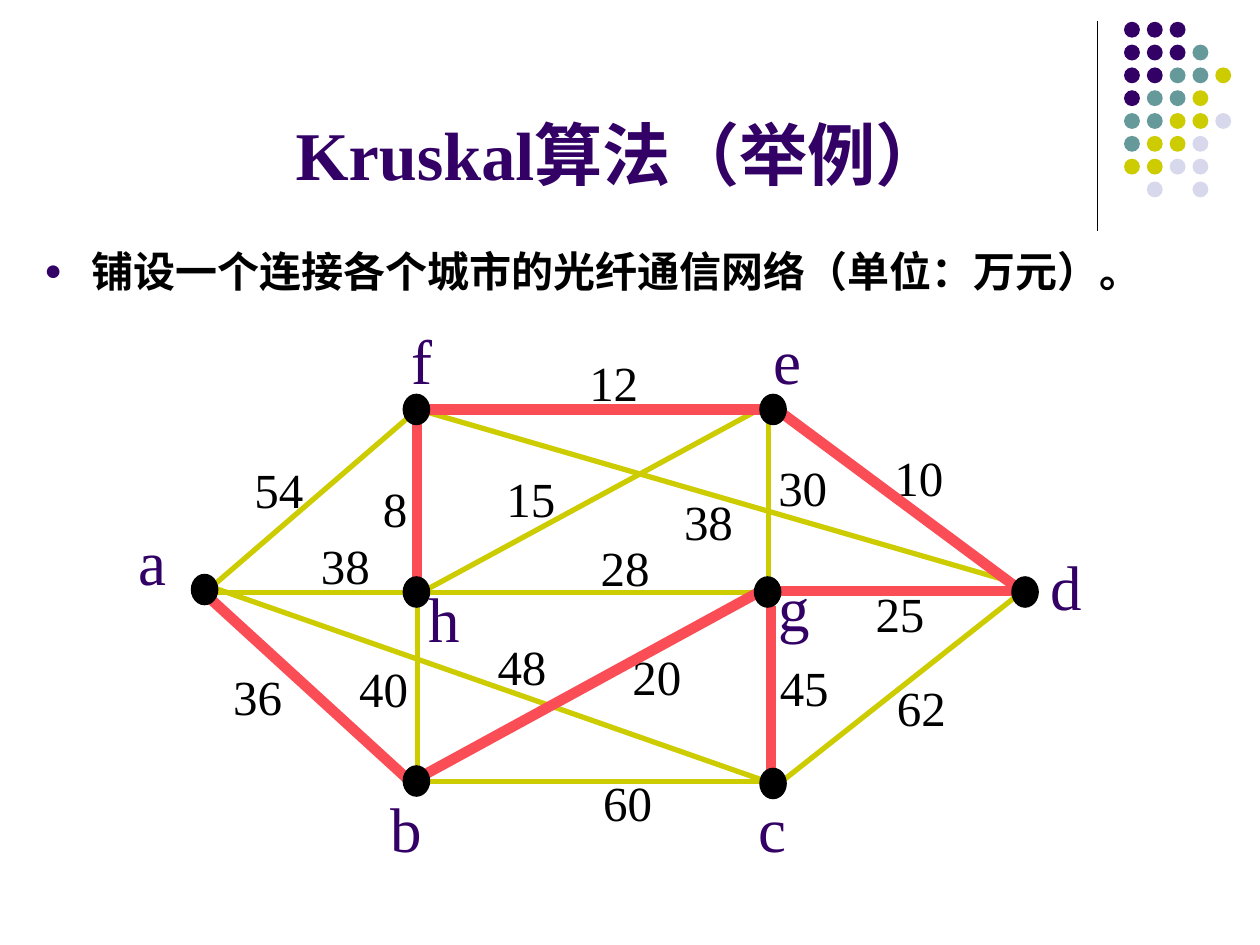
from lxml.etree import SubElement
from pptx import Presentation
from pptx.dml.color import RGBColor
from pptx.enum.shapes import MSO_CONNECTOR, MSO_SHAPE
from pptx.enum.text import MSO_ANCHOR, MSO_AUTO_SIZE, PP_ALIGN
from pptx.oxml.ns import qn
from pptx.util import Cm, Pt

COLORS = {"purple": "330066", "teal": "669999", "olive": "CCCC00",
          "lavender": "D8D8EC", "red": "FB4D55", "black": "000000"}
rgb = {name: RGBColor.from_string(value) for name, value in COLORS.items()}

prs = Presentation()
prs.slide_width, prs.slide_height = Cm(25.4), Cm(19.05)
slide = prs.slides.add_slide(prs.slide_layouts[1])
shapes = slide.shapes


def write(holder, text, size, color="black", bold=False, align=PP_ALIGN.LEFT,
          anchor=MSO_ANCHOR.TOP, wrap=True, fit=MSO_AUTO_SIZE.NONE):
    frame = holder.text_frame
    frame.word_wrap, frame.auto_size, frame.vertical_anchor = wrap, fit, anchor
    paragraph = frame.paragraphs[0]
    paragraph.alignment = align
    run = paragraph.add_run()
    run.text = text
    run.font.name, run.font.size, run.font.bold = "Times New Roman", Pt(size), bold
    run.font.color.rgb = rgb[color]
    return paragraph


def draw_line(x1, y1, x2, y2, color, width):
    line = shapes.add_connector(MSO_CONNECTOR.STRAIGHT, Cm(x1), Cm(y1), Cm(x2), Cm(y2))
    line.line.color.rgb, line.line.width = rgb[color], Pt(width)
    SubElement(line._element.spPr, qn("a:effectLst"))


# Corner ornament: a rule and a grid of dots, one letter per colour
draw_line(22.12, 0.43, 22.12, 4.65, "black", 0.75)
dot_colors = {"p": "purple", "t": "teal", "o": "olive", "l": "lavender"}
dot_rows = ["ppp", "pppt", "pptto", "ptto", "ttool", "tool", "ooll", " l l"]
for row, letters in enumerate(dot_rows):
    for column, letter in enumerate(letters):
        if letter == " ":
            continue
        dot = shapes.add_shape(MSO_SHAPE.OVAL, Cm(22.66 + 0.46 * column),
                               Cm(0.44 + 0.46 * row), Cm(0.32), Cm(0.32))
        dot.shadow.inherit = False
        dot.fill.solid()
        dot.fill.fore_color.rgb = rgb[dot_colors[letter]]
        dot.line.fill.background()

# Title
title = shapes.title
title.left, title.top, title.width, title.height = Cm(1.7), Cm(1.93), Cm(21.59), Cm(2.11)
write(title, "Kruskal算法（举例）", 39, "purple", bold=True,
      align=PP_ALIGN.CENTER, anchor=MSO_ANCHOR.BOTTOM)

# Task statement with its bullet
task = slide.placeholders[1]
task.left, task.top, task.width, task.height = Cm(0.64), Cm(4.72), Cm(23.88), Cm(1.6)
statement = write(task, "铺设一个连接各个城市的光纤通信网络（单位：万元）。", 24,
                  bold=True, align=PP_ALIGN.JUSTIFY)
statement.line_spacing, statement.space_before = 1.1, Pt(4.8)
bullet = statement._p.get_or_add_pPr()
bullet.set("marL", str(Cm(0.95)))
bullet.set("indent", str(-Cm(0.95)))
SubElement(SubElement(bullet, qn("a:buClr")), qn("a:srgbClr"), val=COLORS["purple"])
SubElement(bullet, qn("a:buSzPct"), val="70000")
SubElement(bullet, qn("a:buChar"), char="●")

# All candidate links
links = [
    (8.26, 15.75, 15.62, 11.76), (8.26, 12.07, 15.62, 8.08),
    (15.44, 15.75, 4.14, 11.79), (20.5, 11.76, 8.51, 8.28),
    (8.41, 15.75, 8.41, 8.38), (15.49, 15.75, 15.49, 8.38),
    (4.14, 11.94, 8.41, 15.93), (8.41, 15.75, 15.6, 15.75),
    (15.6, 15.88, 20.65, 11.89), (4.14, 11.94, 20.65, 11.94),
    (4.14, 11.94, 8.41, 8.26), (8.41, 8.26, 15.6, 8.26),
    (15.6, 8.26, 20.65, 11.94),
]
for link in links:
    draw_line(*link, "olive", 3)

# Costs of the links
costs = [
    ("54", 4.88, 9.14), ("60", 11.91, 15.44), ("36", 4.45, 13.31),
    ("38", 6.22, 10.67), ("8", 7.47, 9.53), ("40", 6.99, 13.16),
    ("48", 9.78, 12.7), ("20", 12.5, 12.9), ("45", 15.47, 13.13),
    ("28", 11.86, 10.72), ("15", 9.96, 9.32), ("38", 13.54, 9.78),
    ("30", 15.44, 9.09), ("62", 17.83, 13.54), ("25", 17.4, 11.63),
    ("12", 11.63, 6.99), ("10", 17.78, 8.89),
]
for cost, left, top in costs:
    label = shapes.add_textbox(Cm(left), Cm(top), Cm(0.5 + 0.5 * len(cost)), Cm(1.45))
    write(label, cost, 28, wrap=False, fit=MSO_AUTO_SIZE.SHAPE_TO_FIT_TEXT)

# City names: left, top, width
cities = {
    "f": (8.05, 6.35, 0.94), "e": (15.34, 6.35, 1.07), "b": (7.62, 15.8, 1.14),
    "a": (2.54, 10.41, 1.07), "c": (15.04, 15.8, 1.07), "d": (20.93, 10.92, 1.14),
    "h": (8.38, 11.56, 1.14), "g": (15.44, 11.33, 1.14),
}
for city, (left, top, width) in cities.items():
    label = shapes.add_textbox(Cm(left), Cm(top), Cm(width), Cm(1.78))
    write(label, city, 36, "purple", wrap=False, fit=MSO_AUTO_SIZE.SHAPE_TO_FIT_TEXT)

# Minimum spanning tree
tree = [
    (8.41, 8.46, 8.41, 11.86), (15.67, 8.26, 20.52, 11.86),
    (8.46, 8.26, 15.44, 8.26), (15.44, 11.86, 8.46, 15.67),
    (15.6, 11.91, 20.68, 11.91), (4.01, 11.86, 8.43, 15.9),
    (15.54, 12.22, 15.54, 15.6),
]
for branch in tree:
    draw_line(*branch, "red", 6)

# City nodes
nodes = [(15.32, 15.49), (8.13, 7.95), (8.13, 11.63), (15.21, 11.63),
         (20.4, 11.63), (8.13, 15.44), (15.32, 7.95), (3.86, 11.58)]
for left, top in nodes:
    node = shapes.add_shape(MSO_SHAPE.OVAL, Cm(left), Cm(top), Cm(0.53), Cm(0.61))
    node.shadow.inherit = False
    node.fill.solid()
    node.fill.fore_color.rgb = rgb["black"]
    node.line.color.rgb, node.line.width = rgb["black"], Pt(0.75)

prs.save("out.pptx")
